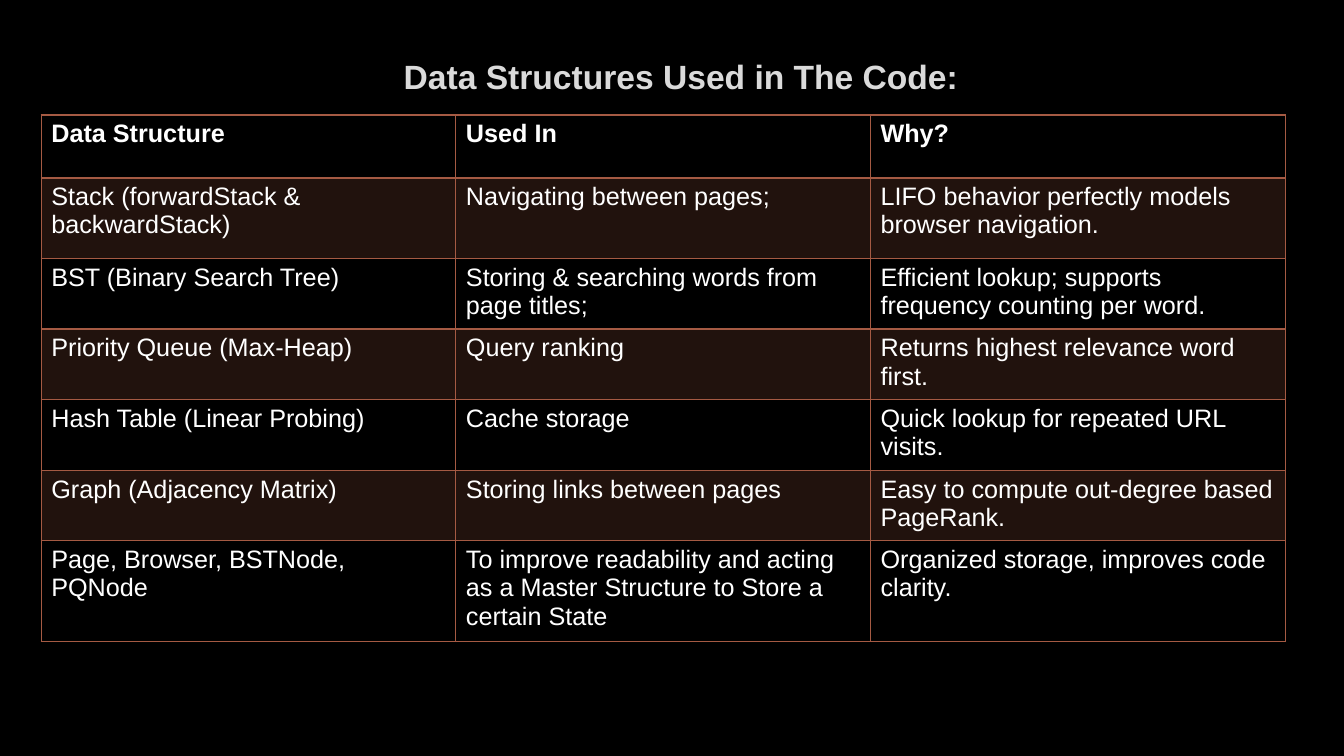
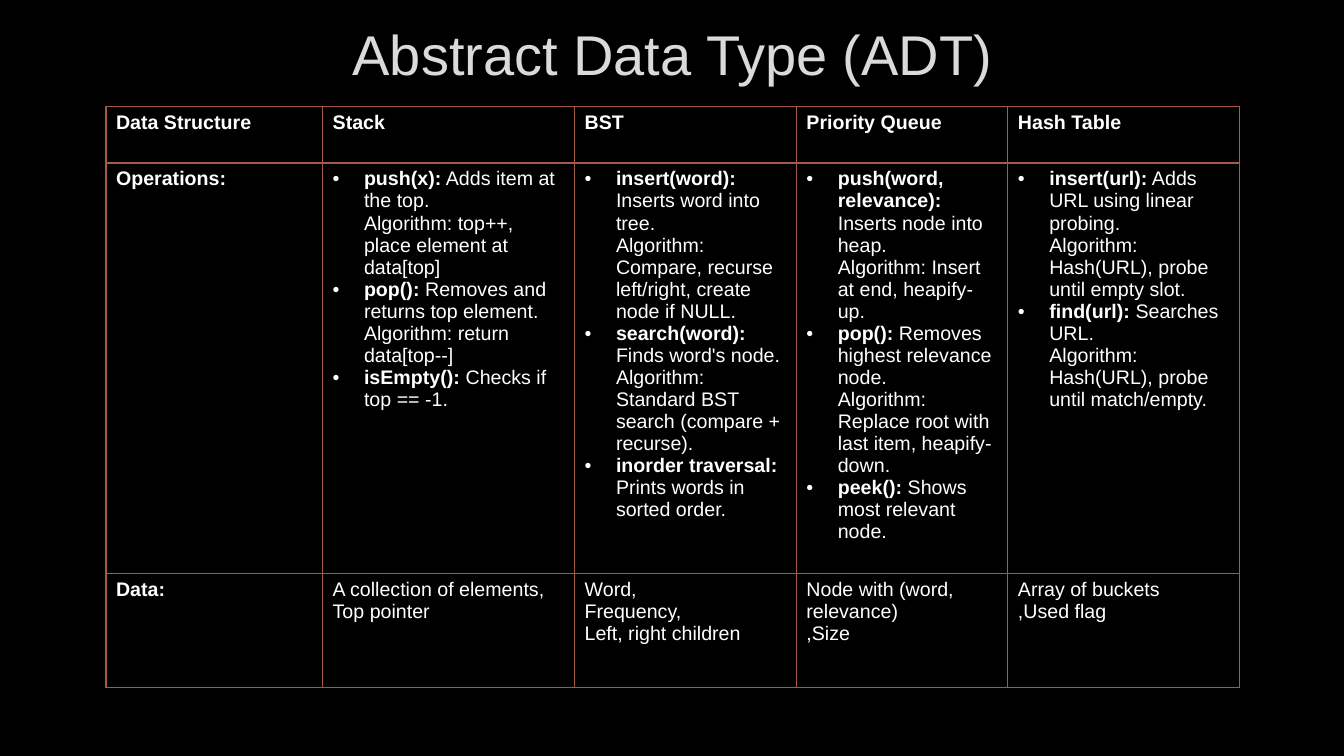
from dataclasses import dataclass

from lxml.etree import SubElement
from pptx import Presentation
from pptx.dml.color import RGBColor
from pptx.enum.text import MSO_ANCHOR as Anchor, PP_ALIGN as Align
from pptx.oxml.ns import qn
from pptx.util import Cm, Pt


@dataclass(frozen=True)
class Theme:
    font: str = "Arial"
    background: str = "000000"
    title: str = "DADADA"
    text: str = "FFFFFF"
    accent: str = "A55A43"
    band_opacity: int = 20
    border: float = 1
    header_border: float = 2
    bullet_indent: float = 0.79


THEME = Theme()

# A (name, description) pair inside a cell is a bulleted operation.
SLIDES = [
    {
        "title": "Data Structures Used in The Code:",
        "title_box": (2.54, 0, 29.24, 3.84),
        "title_size": 24,
        "title_bold": True,
        "table_at": (1.04, 2.9),
        "columns": [10.45] * 3,
        "heights": [1.58, 2.03] + [1.68] * 4 + [2.4],
        "size": 18,
        "banded": True,
        "bold_first_column": False,
        "rows": [
            ["Data Structure", "Used In", "Why?"],
            ["Stack (forwardStack & backwardStack)", "Navigating between pages;",
             "LIFO behavior perfectly models browser navigation."],
            ["BST (Binary Search Tree)", "Storing & searching words from page titles;",
             "Efficient lookup; supports frequency counting per word."],
            ["Priority Queue (Max-Heap)", "Query ranking",
             "Returns highest relevance word first."],
            ["Hash Table (Linear Probing)", "Cache storage",
             "Quick lookup for repeated URL visits."],
            ["Graph (Adjacency Matrix)", "Storing links between pages",
             "Easy to compute out-degree based PageRank."],
            ["Page, Browser, BSTNode, PQNode",
             "To improve readability and acting as a Master Structure to Store a certain State",
             "Organized storage, improves code clarity."],
        ],
    },
    {
        "title": "Abstract Data Type (ADT)",
        "title_box": (2.57, 0, 28.75, 2.69),
        "title_size": 40,
        "title_bold": False,
        "table_at": (2.67, 2.69),
        "columns": [5.46, 6.35, 5.59, 5.33, 5.84],
        "heights": [1.42, 10.24, 2.87],
        "size": 14,
        "banded": False,
        "bold_first_column": True,
        "rows": [
            ["Data Structure", "Stack", "BST", "Priority Queue", "Hash Table"],
            [
                "Operations:",
                [("push(x):", " Adds item at the top.\n"
                  "Algorithm: top++, place element at data[top]"),
                 ("pop():", " Removes and returns top element.\n"
                  "Algorithm: return data[top--]"),
                 ("isEmpty():", " Checks if top == -1.")],
                [("insert(word):", " Inserts word into tree.\n"
                  "Algorithm: Compare, recurse left/right, create node if NULL."),
                 ("search(word):", " Finds word's node.\n"
                  "Algorithm: Standard BST search (compare + recurse)."),
                 ("inorder traversal:", " Prints words in sorted order.")],
                [("push(word, relevance):", " Inserts node into heap.\n"
                  "Algorithm: Insert at end, heapify-up."),
                 ("pop():", " Removes highest relevance node.\n"
                  "Algorithm: Replace root with last item, heapify-down."),
                 ("peek():", " Shows most relevant node.")],
                [("insert(url):", " Adds URL using linear probing.\n"
                  "Algorithm: Hash(URL), probe until empty slot."),
                 ("find(url):", " Searches URL.\n"
                  "Algorithm: Hash(URL), probe until match/empty.")],
            ],
            [
                "Data:",
                ["A collection of elements,", "Top pointer"],
                ["Word,", "Frequency,", "Left, right children"],
                ["Node with (word, relevance)", ",Size"],
                ["Array of buckets", ",Used flag"],
            ],
        ],
    },
]


def add_bullet(paragraph):
    indent = Cm(THEME.bullet_indent)
    properties = paragraph._p.get_or_add_pPr()
    properties.set("marL", str(indent))
    properties.set("indent", str(-indent))
    SubElement(properties, qn("a:buFont"), typeface=THEME.font)
    SubElement(properties, qn("a:buChar"), char="•")


def add_run(paragraph, text, *, size, color, bold):
    """Add text in one format; a newline becomes a line break of the same size."""
    for index, line in enumerate(text.split("\n")):
        if index:
            paragraph.add_line_break()
            SubElement(paragraph._p[-1], qn("a:rPr"), sz=str(size * 100))
        run = paragraph.add_run()
        run.text = line
        run.font.name = THEME.font
        run.font.size = Pt(size)
        run.font.bold = bold
        run.font.color.rgb = RGBColor.from_string(color)


def write_text(frame, content, *, size, color=THEME.text, bold=False, align=Align.LEFT):
    items = [content] if isinstance(content, str) else content
    for index, item in enumerate(items):
        paragraph = frame.add_paragraph() if index else frame.paragraphs[0]
        paragraph.alignment = align
        if isinstance(item, str):
            add_run(paragraph, item, size=size, color=color, bold=bold)
        else:
            add_bullet(paragraph)
            for part, part_bold in zip(item, (True, False)):
                add_run(paragraph, part, size=size, color=color, bold=part_bold)


def set_borders(cell, **widths):
    properties = cell._tc.get_or_add_tcPr()
    for side in "LRTB":
        width = widths.get(side, THEME.border)
        line = SubElement(properties, qn(f"a:ln{side}"), w=str(Pt(width)))
        fill = SubElement(line, qn("a:solidFill"))
        SubElement(fill, qn("a:srgbClr"), val=THEME.accent)


def set_fill(cell, banded):
    if not banded:
        cell.fill.background()
        return
    cell.fill.solid()
    cell.fill.fore_color.rgb = RGBColor.from_string(THEME.accent)
    color = cell._tc.tcPr.find(qn("a:solidFill")).find(qn("a:srgbClr"))
    SubElement(color, qn("a:alpha"), val=str(THEME.band_opacity * 1000))


def add_title(slide, content):
    box = slide.shapes.add_textbox(*map(Cm, content["title_box"]))
    frame = box.text_frame
    frame.word_wrap = True
    frame.vertical_anchor = Anchor.MIDDLE
    write_text(frame, content["title"], size=content["title_size"], color=THEME.title,
               bold=content["title_bold"], align=Align.CENTER)


def add_data_table(slide, content):
    columns, heights, rows = content["columns"], content["heights"], content["rows"]
    left, top = content["table_at"]
    table = slide.shapes.add_table(len(rows), len(columns), Cm(left), Cm(top),
                                   Cm(sum(columns)), Cm(sum(heights))).table
    table.horz_banding = False
    for column, width in zip(table.columns, columns):
        column.width = Cm(width)
    for row, height in zip(table.rows, heights):
        row.height = Cm(height)

    header_edges = {0: {"B": THEME.header_border}, 1: {"T": THEME.header_border}}
    for row_index, row in enumerate(rows):
        for column_index, text in enumerate(row):
            cell = table.cell(row_index, column_index)
            is_label = column_index == 0 and content["bold_first_column"]
            write_text(cell.text_frame, text, size=content["size"],
                       bold=row_index == 0 or is_label)
            set_borders(cell, **header_edges.get(row_index, {}))
            set_fill(cell, content["banded"] and row_index % 2 == 1)


def main():
    presentation = Presentation()
    presentation.slide_width = Cm(33.87)
    presentation.slide_height = Cm(19.05)
    background = presentation.slide_master.background.fill
    background.solid()
    background.fore_color.rgb = RGBColor.from_string(THEME.background)
    for content in SLIDES:
        slide = presentation.slides.add_slide(presentation.slide_layouts[6])
        add_title(slide, content)
        add_data_table(slide, content)
    presentation.save("out.pptx")


if __name__ == "__main__":
    main()
